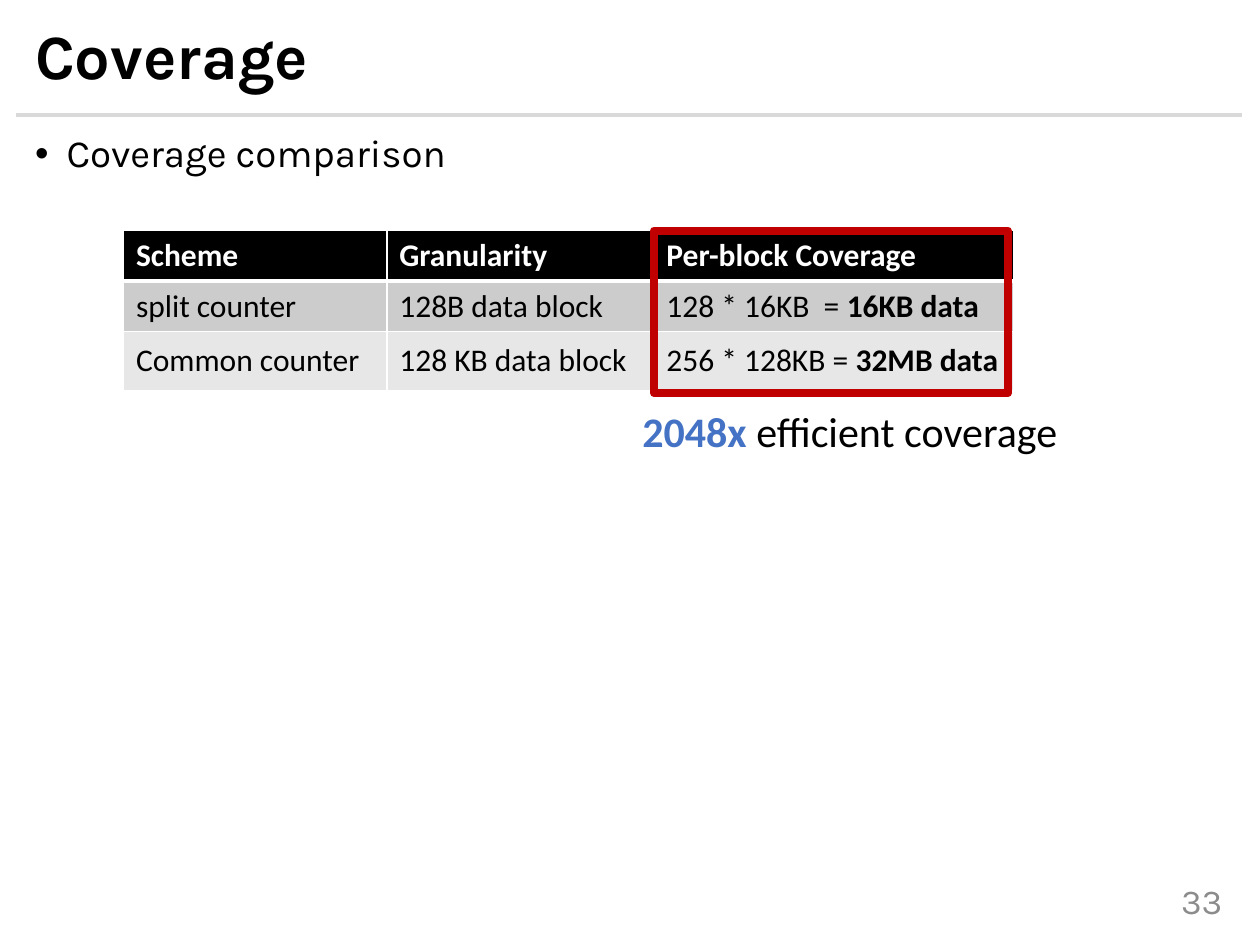
import pptx
import pptx.dml.color
import pptx.enum.shapes
import pptx.enum.text
import pptx.oxml.ns
import pptx.util
import lxml.etree

WIDE, HIGH = 10, 7.5
ALIGN = pptx.enum.text.PP_ALIGN
ANCHOR = pptx.enum.text.MSO_ANCHOR
SHAPES = pptx.enum.shapes

THEME = {
    "ink": "000000", "paper": "FFFFFF", "rule": "D9D9D9", "faint": "8C8C8C",
    "blue": "4472C4", "red": "C00000", "bands": ["CCCCCC", "E7E7E7"],
    "title": {"name": "Karla", "size": 36, "bold": True},
    "body": {"name": "Karla", "size": 22},
    "page": {"name": "Karla", "size": 20},
    "cell": {"name": "Calibri", "size": 18},
    "note": {"name": "Calibri", "size": 24},
}

COLS = [2.09, 2.12, 2.86]
ROWS = [0.4, 0.4, 0.47]
GRID = [  # a cell is a list of (text, bold) runs
    [[("Scheme", True)], [("Granularity", True)], [("Per-block Coverage", True)]],
    [[("split counter", False)], [("128B data block", False)],
     [("128 * 16KB  = ", False), ("16KB data", True)]],
    [[("Common counter", False)], [("128 KB data block", False)],
     [("256 * 128KB = ", False), ("32MB data", True)]],
]


def rgb(key):
    return pptx.dml.color.RGBColor.from_string(THEME.get(key, key))


def place(left, top, width, height):
    """Turn shares of the slide's size into lengths."""
    return [pptx.util.Inches(round(share * full, 2)) for share, full in
            zip((left, top, width, height), (WIDE, HIGH, WIDE, HIGH))]


def put(target, values):
    for name, value in values.items():
        setattr(target, name, value)


def add_child(parent, tag, **attrs):
    return lxml.etree.SubElement(parent, pptx.oxml.ns.qn(tag), attrs)


def write(para, text, style, color="ink", **extra):
    run = para.add_run()
    run.text = text
    values = {**THEME[style], **extra}
    values["size"] = pptx.util.Pt(values["size"])
    put(run.font, values)
    run.font.color.rgb = rgb(color)


def add_text(slide, box, runs, style, anchor=ANCHOR.TOP, **format):
    """Add a one-paragraph box; runs are (text, color, bold)."""
    frame = slide.shapes.add_textbox(*place(*box)).text_frame
    put(frame, {"word_wrap": True, "vertical_anchor": anchor})
    para = frame.paragraphs[0]
    put(para, format)
    for text, color, bold in runs:
        write(para, text, style, color, bold=bold)
    return para


def add_dot(para, indent):
    step = pptx.util.Inches(indent)
    props = para._p.get_or_add_pPr()
    props.set("marL", str(step))
    props.set("indent", str(-step))
    add_child(props, "a:buFont", typeface="Arial")
    add_child(props, "a:buChar", char="•")


def add_rule(slide, left, right, top):
    x, y, end, _ = place(left, top, right, 0)
    rule = slide.shapes.add_connector(SHAPES.MSO_CONNECTOR.STRAIGHT, x, y, end, y)
    rule.line.width = pptx.util.Pt(2.25)
    rule.line.color.rgb = rgb("rule")
    add_child(rule._element.spPr, "a:effectLst")


def add_edges(cell, head, below):
    """Draw white cell borders, thick between the header and the row below."""
    props = cell._tc.get_or_add_tcPr()
    thick = {"a:lnB": head, "a:lnT": below}
    for tag in ("a:lnL", "a:lnR", "a:lnT", "a:lnB"):
        width = pptx.util.Pt(3 if thick.get(tag) else 1)
        edge = add_child(props, tag, w=str(width))
        add_child(add_child(edge, "a:solidFill"), "a:srgbClr", val=THEME["paper"])


def add_grid(slide, left, top):
    box = place(left, top, sum(COLS) / WIDE, sum(ROWS) / HIGH)
    table = slide.shapes.add_table(len(ROWS), len(COLS), *box).table
    for col, width in zip(table.columns, COLS):
        col.width = pptx.util.Inches(width)
    for row, height in zip(table.rows, ROWS):
        row.height = pptx.util.Inches(height)
    fills = ["ink"] + THEME["bands"]
    for r, line in enumerate(GRID):
        for c, runs in enumerate(line):
            cell = table.cell(r, c)
            add_edges(cell, r == 0, r == 1)
            cell.fill.solid()
            cell.fill.fore_color.rgb = rgb(fills[r])
            cell.vertical_anchor = ANCHOR.MIDDLE
            for text, bold in runs:
                write(cell.text_frame.paragraphs[0], text, "cell",
                      "ink" if r else "paper", bold=bold)


def add_frame(slide, box):
    frame = slide.shapes.add_shape(SHAPES.MSO_SHAPE.RECTANGLE, *place(*box))
    frame.shadow.inherit = False
    frame.fill.background()
    frame.line.width = pptx.util.Pt(4.5)
    frame.line.color.rgb = rgb("red")


def main():
    deck = pptx.Presentation()
    put(deck, {"slide_width": pptx.util.Inches(WIDE),
               "slide_height": pptx.util.Inches(HIGH)})
    slide = deck.slides.add_slide(deck.slide_layouts[6])
    add_text(slide, (0.872, 0.927, 0.108, 0.053), [("33", "faint", False)],
             "page", ANCHOR.MIDDLE, alignment=ALIGN.RIGHT)
    add_rule(slide, 0.013, 0.986, 0.121)
    point = add_text(slide, (0.018, 0.136, 0.973, 0.772),
                     [("Coverage comparison", "ink", False)], "body", line_spacing=0.9)
    add_dot(point, 0.25)
    add_text(slide, (0.018, 0.019, 0.973, 0.088), [("Coverage", "ink", True)],
             "title", ANCHOR.MIDDLE, line_spacing=0.9)
    add_grid(slide, 0.098, 0.244)
    add_frame(slide, (0.519, 0.244, 0.281, 0.172))
    add_text(slide, (0.5, 0.423, 0.389, 0.067),
             [("2048x ", "blue", True), ("efficient coverage", "ink", False)], "note")
    deck.save("out.pptx")


if __name__ == "__main__":
    main()
